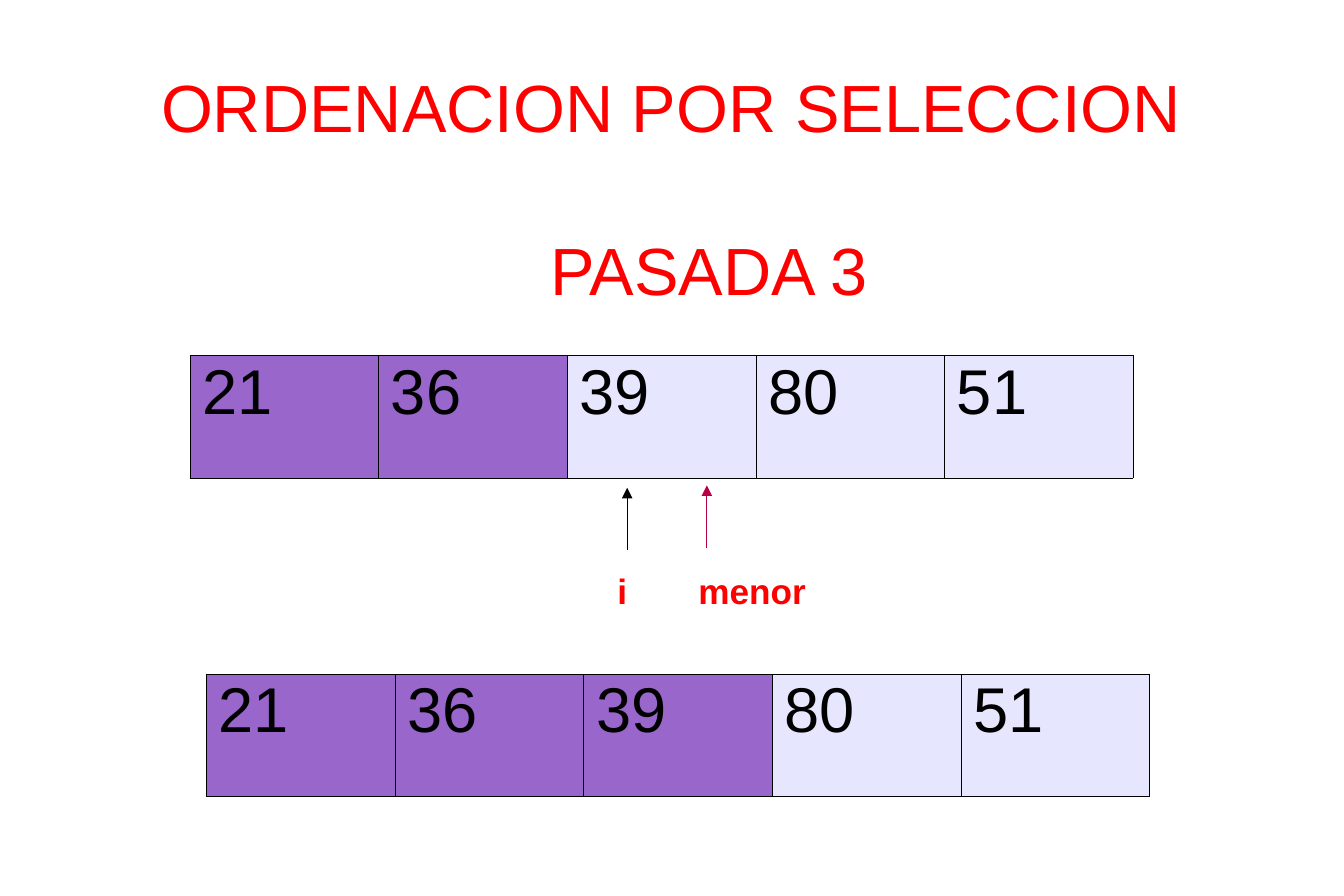
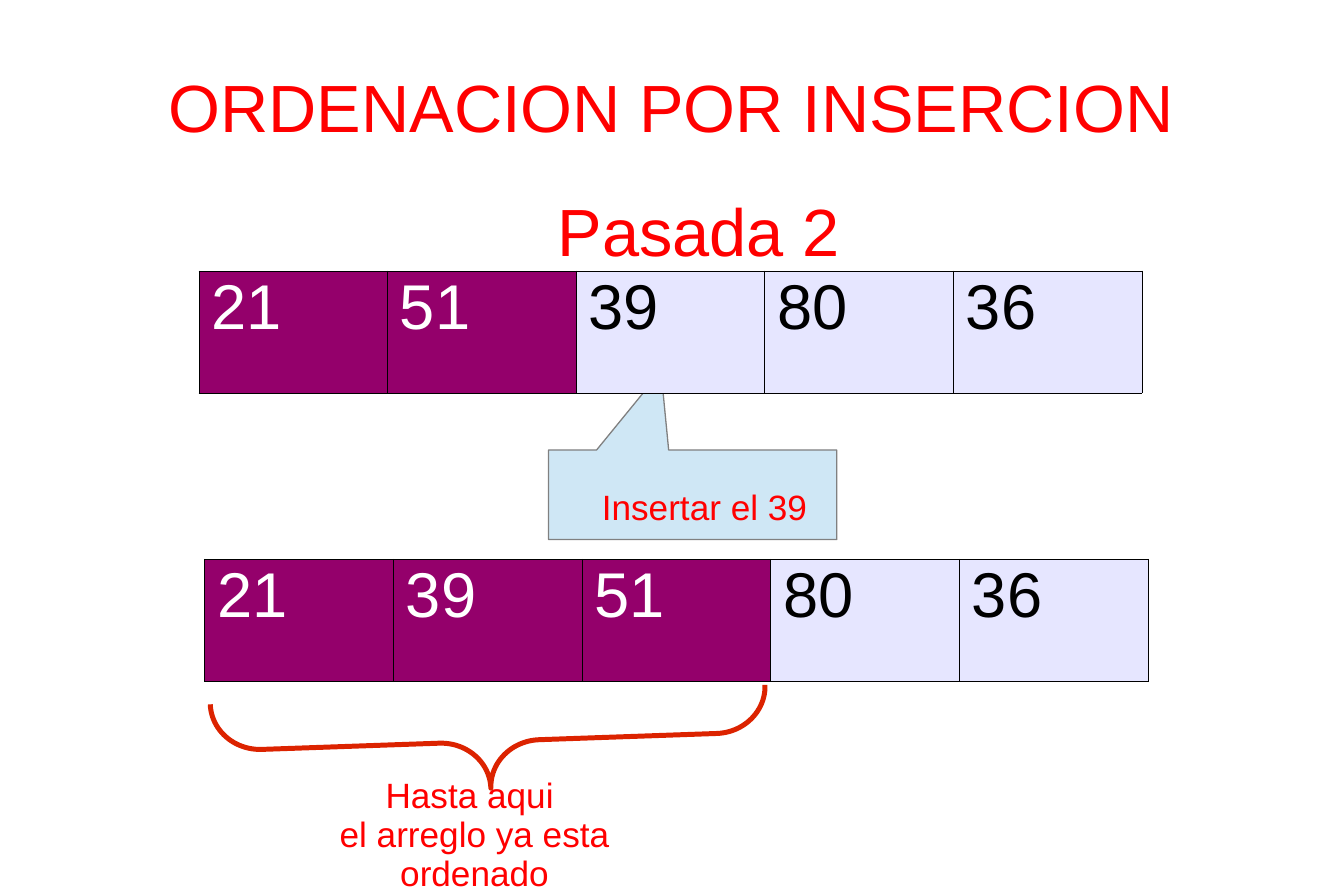
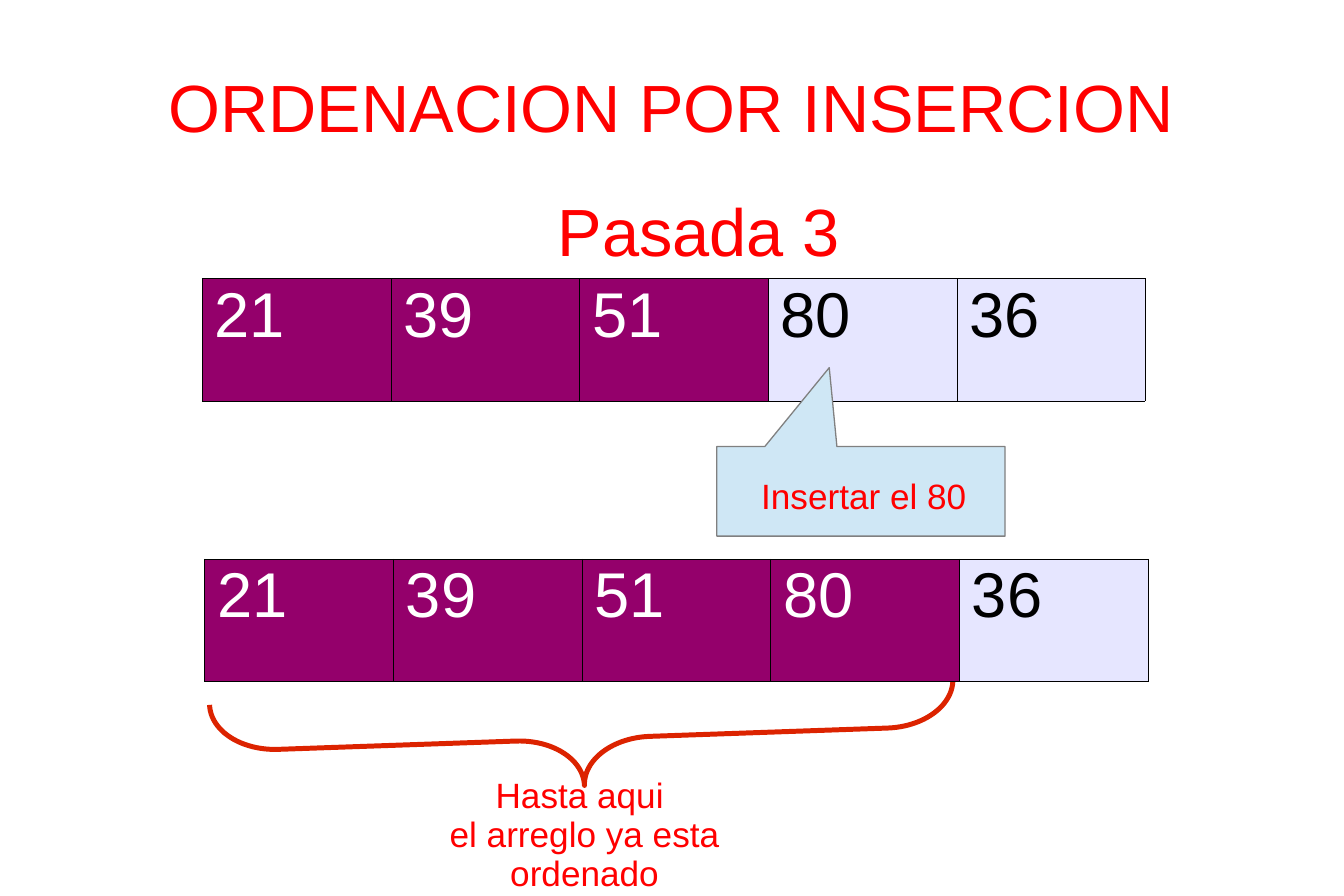
from dataclasses import dataclass
from typing import Any

from lxml.etree import SubElement
from pptx import Presentation
from pptx.dml.color import RGBColor
from pptx.enum.shapes import MSO_CONNECTOR, MSO_SHAPE
from pptx.enum.text import MSO_ANCHOR, PP_ALIGN
from pptx.oxml.ns import qn
from pptx.slide import Slide
from pptx.util import Cm, Pt


@dataclass(frozen=True)
class Theme:
    font: str = "Arial"
    title_size: float = 38
    number_size: float = 36
    label_size: float = 20
    line_spacing: float = 0.93
    thin_line: float = 0.75
    brace_line: float = 2.83
    cell_border: int = 720
    red: str = "FF0000"
    black: str = "000000"
    white: str = "FFFFFF"
    crimson: str = "B80047"
    violet: str = "9966CC"
    purple: str = "94006B"
    lavender: str = "E6E6FF"
    sky: str = "CFE7F5"
    gray: str = "808080"
    brace_red: str = "DC2300"


THEME = Theme()


@dataclass(frozen=True)
class Label:
    text: str
    left: float
    top: float
    width: float
    height: float
    size: float = THEME.label_size
    bold: bool = False


@dataclass(frozen=True)
class NumberRow:
    numbers: tuple[int, ...]
    sorted_count: int
    left: float
    top: float
    sorted_fill: str = THEME.purple
    sorted_color: str = THEME.white
    cell_width: float = 3.79
    height: float = 2.46


@dataclass(frozen=True)
class UpArrow:
    x: float
    bottom: float
    color: str
    length: float = 1.25


@dataclass(frozen=True)
class Callout:
    left: float
    top: float
    width: float = 5.79
    height: float = 1.8


@dataclass(frozen=True)
class Brace:
    left: float
    top: float
    length: float
    depth: float = 1.88
    curve: float = 0.09


Element = Label | NumberRow | UpArrow | Callout | Brace


def apply_format(target: Any, values: dict[str, Any]) -> None:
    for name, value in values.items():
        setattr(target, name, value)


def write_text(frame: Any, text: str, size: float, color: str,
               bold: bool, alignment: PP_ALIGN) -> None:
    paragraph = frame.paragraphs[0]
    paragraph.text = text
    apply_format(paragraph, {"alignment": alignment, "line_spacing": THEME.line_spacing})
    for run in paragraph.runs:
        apply_format(run.font, {"name": THEME.font, "size": Pt(size), "bold": bold})
        run.font.color.rgb = RGBColor.from_string(color)


def set_line(shape: Any, color: str, width: float) -> None:
    shape.line.color.rgb = RGBColor.from_string(color)
    shape.line.width = Pt(width)


def draw_label(slide: Slide, label: Label) -> None:
    shape = slide.shapes.add_textbox(
        Cm(label.left), Cm(label.top), Cm(label.width), Cm(label.height))
    apply_format(shape.text_frame, {
        "word_wrap": True,
        "vertical_anchor": MSO_ANCHOR.MIDDLE,
        "margin_left": 0,
        "margin_top": 0,
        "margin_right": 0,
        "margin_bottom": 0,
    })
    write_text(shape.text_frame, label.text, label.size, THEME.red,
               label.bold, PP_ALIGN.CENTER)


def set_cell_borders(cell: Any) -> None:
    properties = cell._tc.get_or_add_tcPr()
    for position, side in enumerate(("lnL", "lnR", "lnT", "lnB")):
        border = properties.makeelement(qn(f"a:{side}"), {"w": str(THEME.cell_border)})
        fill = SubElement(border, qn("a:solidFill"))
        SubElement(fill, qn("a:srgbClr"), val=THEME.black)
        properties.insert(position, border)


def draw_number_row(slide: Slide, row: NumberRow) -> None:
    count = len(row.numbers)
    table = slide.shapes.add_table(
        1, count, Cm(row.left), Cm(row.top),
        Cm(row.cell_width * count), Cm(row.height)).table
    apply_format(table, {"first_row": False, "horz_banding": False})
    for index, number in enumerate(row.numbers):
        is_sorted = index < row.sorted_count
        table.columns[index].width = Cm(row.cell_width)
        cell = table.cell(0, index)
        cell.fill.solid()
        cell.fill.fore_color.rgb = RGBColor.from_string(
            row.sorted_fill if is_sorted else THEME.lavender)
        write_text(cell.text_frame, str(number), THEME.number_size,
                   row.sorted_color if is_sorted else THEME.black,
                   False, PP_ALIGN.LEFT)
        set_cell_borders(cell)


def draw_up_arrow(slide: Slide, arrow: UpArrow) -> None:
    connector = slide.shapes.add_connector(
        MSO_CONNECTOR.STRAIGHT, Cm(arrow.x), Cm(arrow.bottom),
        Cm(arrow.x), Cm(arrow.bottom - arrow.length))
    set_line(connector, arrow.color, THEME.thin_line)
    SubElement(connector.line._get_or_add_ln(), qn("a:tailEnd"), type="triangle")
    SubElement(connector._element.spPr, qn("a:effectLst"))


def draw_callout(slide: Slide, callout: Callout) -> None:
    shape = slide.shapes.add_shape(
        MSO_SHAPE.RECTANGULAR_CALLOUT, Cm(callout.left), Cm(callout.top),
        Cm(callout.width), Cm(callout.height))
    shape.rotation = 180
    shape.shadow.inherit = False
    shape.adjustments[0] = 0.11
    shape.adjustments[1] = 1.38
    shape.fill.solid()
    shape.fill.fore_color.rgb = RGBColor.from_string(THEME.sky)
    set_line(shape, THEME.gray, THEME.thin_line)


def draw_brace(slide: Slide, brace: Brace) -> None:
    shape = slide.shapes.add_shape(
        MSO_SHAPE.LEFT_BRACE, Cm(brace.left), Cm(brace.top),
        Cm(brace.depth), Cm(brace.length))
    shape.rotation = 268
    shape.shadow.inherit = False
    shape.adjustments[0] = brace.curve * brace.length / brace.depth
    shape.adjustments[1] = 0.5
    shape.fill.background()
    set_line(shape, THEME.brace_red, THEME.brace_line)


DRAWERS = {
    Label: draw_label,
    NumberRow: draw_number_row,
    UpArrow: draw_up_arrow,
    Callout: draw_callout,
    Brace: draw_brace,
}


def heading(text: str, left: float = 1.35, top: float = 0.71) -> Label:
    return Label(text, left, top, 24.28, 3, THEME.title_size)


def selection_row(sorted_count: int, left: float, top: float) -> NumberRow:
    return NumberRow((21, 36, 39, 80, 51), sorted_count, left, top,
                     THEME.violet, THEME.black)


def insertion_headings(step: int) -> list[Element]:
    return [heading("ORDENACION POR INSERCION"), heading(f"Pasada {step}", 1.9, 3.2)]


def sorted_note(left: float) -> Label:
    return Label("Hasta aqui \vel arreglo ya esta ordenado", left, 15.6, 7.49, 2.39)


def insert_note(number: int, left: float, top: float) -> Label:
    return Label(f"Insertar el {number}", left, top, 6.71, 3.61)


SLIDES: list[list[Element]] = [
    [
        heading("ORDENACION POR SELECCION"),
        heading("PASADA 3", 2.11, 3.99),
        UpArrow(12.6, 11.05, THEME.black),
        UpArrow(14.2, 11, THEME.crimson),
        selection_row(2, 3.81, 7.14),
        selection_row(3, 4.14, 13.54),
        Label("menor", 13.41, 11.2, 3.4, 1.4, bold=True),
        Label("i", 11, 11.2, 3, 1.4, bold=True),
    ],
    [
        *insertion_headings(2),
        Brace(8.89, 9.32, 11.15),
        sorted_note(5.79),
        Callout(11.02, 9.04),
        insert_note(39, 10.8, 8.41),
        NumberRow((21, 51, 39, 80, 36), 2, 3.99, 5.44),
        NumberRow((21, 39, 51, 80, 36), 3, 4.11, 11.23),
    ],
    [
        *insertion_headings(3),
        Brace(10.77, 7.37, 14.94),
        sorted_note(8),
        NumberRow((21, 39, 51, 80, 36), 3, 4.06, 5.59),
        Callout(14.4, 8.97),
        insert_note(80, 14, 8.2),
        NumberRow((21, 39, 51, 80, 36), 4, 4.11, 11.23),
    ],
]


def main() -> None:
    presentation = Presentation()
    apply_format(presentation, {"slide_width": Cm(27), "slide_height": Cm(18)})
    for elements in SLIDES:
        slide = presentation.slides.add_slide(presentation.slide_layouts[6])
        for element in elements:
            DRAWERS[type(element)](slide, element)
    presentation.save("out.pptx")


if __name__ == "__main__":
    main()
